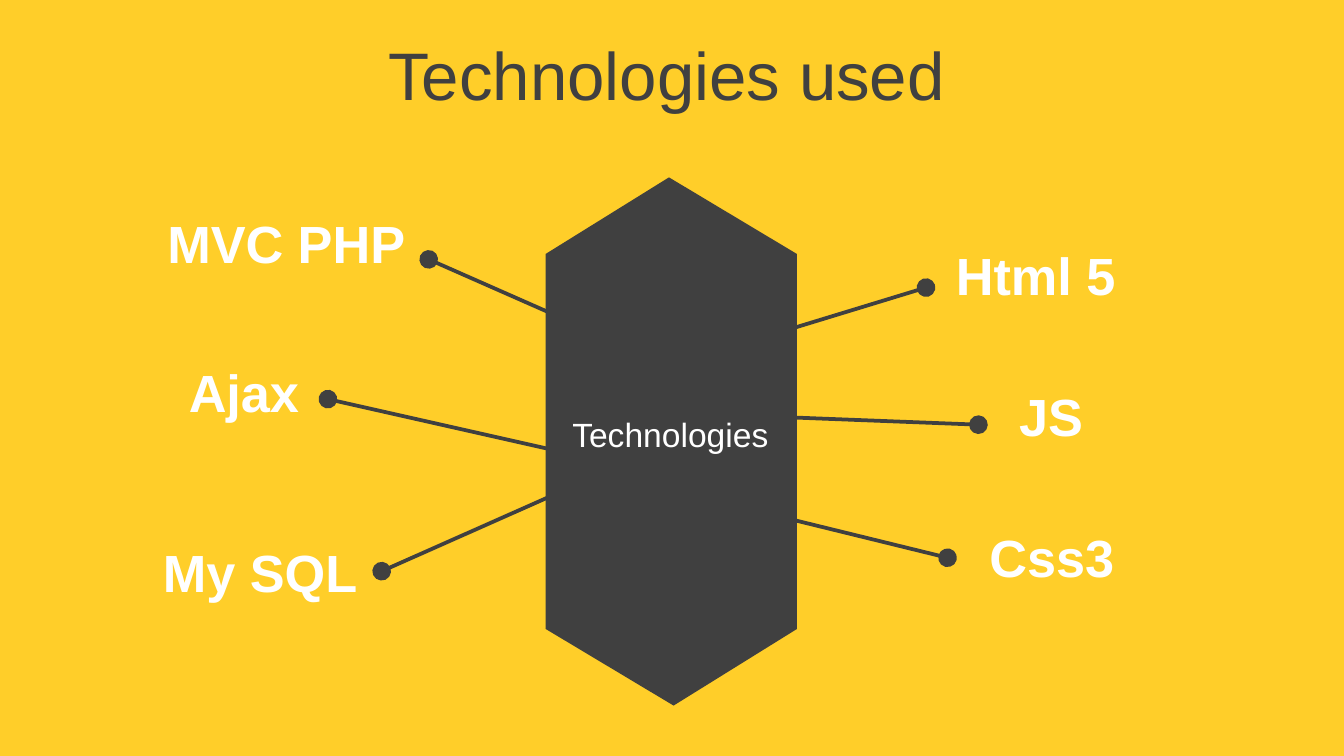
from lxml import etree
from pptx import Presentation
from pptx.dml.color import RGBColor
from pptx.enum import shapes, text
from pptx.oxml.ns import qn
from pptx.util import Inches, Pt

COLORS = {"background": "FFCE29", "dark": "404040", "light": "FFFFFF"}
FONT = "Arial"
SLIDE_WIDTH = 10
SLIDE_HEIGHT = SLIDE_WIDTH * 9 / 16

TITLE = ("Technologies used", (-0.04, 0.23, 10, 0.63))
CENTER = ("Technologies", (4.16, 3.03, 1.67, 0.4))
LABEL_HEIGHT = 0.27
# label, (left, top, width), line start, line end with the dot
TECHNOLOGIES = [
    ("MVC PHP", (1.03, 1.67, 2.2), (4.12, 2.34), (3.19, 1.93)),
    ("Ajax", (0.91, 2.78, 1.81), (4.08, 3.34), (2.44, 2.97)),
    ("My SQL", (1.03, 4.12, 1.81), (4.53, 3.5), (2.84, 4.25)),
    ("Html 5 ", (5.87, 1.91, 3.78), (5.71, 2.5), (6.89, 2.14)),
    ("JS", (5.93, 2.96, 3.78), (5.47, 3.09), (7.28, 3.16)),
    ("Css3", (6.92, 4.01, 1.81), (5.46, 3.76), (7.05, 4.15)),
]
BODY_LEFT, BODY_TOP, BODY_WIDTH, BODY_HEIGHT = 4.06, 1.89, 1.87, 2.79
TIP_HEIGHT, TIP_APEX = 0.57, 0.491


def rgb(name):
    return RGBColor.from_string(COLORS[name])


def add_block(s, kind, top, height):
    sp = s.shapes.add_shape(kind, Inches(BODY_LEFT), Inches(top),
                            Inches(BODY_WIDTH), Inches(height))
    sp.shadow.inherit = False
    sp.fill.solid()
    sp.fill.fore_color.rgb = rgb("dark")
    sp.line.fill.background()
    return sp


def add_text(s, words, box, size, color, bold=False, centered=True):
    """Centered text wraps and sits mid-box; other text hugs its words."""
    tf = s.shapes.add_textbox(*map(Inches, box)).text_frame
    tf.text = words
    tf.word_wrap = centered
    p = tf.paragraphs[0]
    if centered:
        tf.vertical_anchor = text.MSO_ANCHOR.MIDDLE
        p.alignment = text.PP_ALIGN.CENTER
        p.space_before = Pt(size * 0.2)
    else:
        tf.auto_size = text.MSO_AUTO_SIZE.SHAPE_TO_FIT_TEXT
    font = p.runs[0].font
    font.name, font.size, font.bold = FONT, Pt(size), bold
    font.color.rgb = rgb(color)


def add_dotted_end_line(s, start, end):
    line = s.shapes.add_connector(shapes.MSO_CONNECTOR.STRAIGHT,
                                  *map(Inches, start + end))
    line.line.color.rgb = rgb("dark")
    line.line.width = Pt(2)
    ln = line._element.spPr.find(qn("a:ln"))
    etree.SubElement(ln, qn("a:tailEnd"), type="oval", w="lg", len="lg")
    etree.SubElement(line._element.spPr, qn("a:effectLst"))


def main():
    prs = Presentation()
    prs.slide_width, prs.slide_height = Inches(SLIDE_WIDTH), Inches(SLIDE_HEIGHT)
    s = prs.slides.add_slide(prs.slide_layouts[6])
    s.background.fill.solid()
    s.background.fill.fore_color.rgb = rgb("background")

    add_block(s, shapes.MSO_SHAPE.RECTANGLE, BODY_TOP, BODY_HEIGHT)
    for top, turn in ((BODY_TOP - TIP_HEIGHT, 0), (BODY_TOP + BODY_HEIGHT, 180)):
        tip = add_block(s, shapes.MSO_SHAPE.ISOSCELES_TRIANGLE, top, TIP_HEIGHT)
        tip.adjustments[0] = TIP_APEX
        tip.rotation = turn

    add_text(s, *TITLE, 36, "dark")
    for label, place, start, end in TECHNOLOGIES:
        add_text(s, label, place + (LABEL_HEIGHT,), 28, "light", bold=True)
        add_dotted_end_line(s, start, end)
    add_text(s, *CENTER, 18, "light", centered=False)
    prs.save("out.pptx")


if __name__ == "__main__":
    main()
